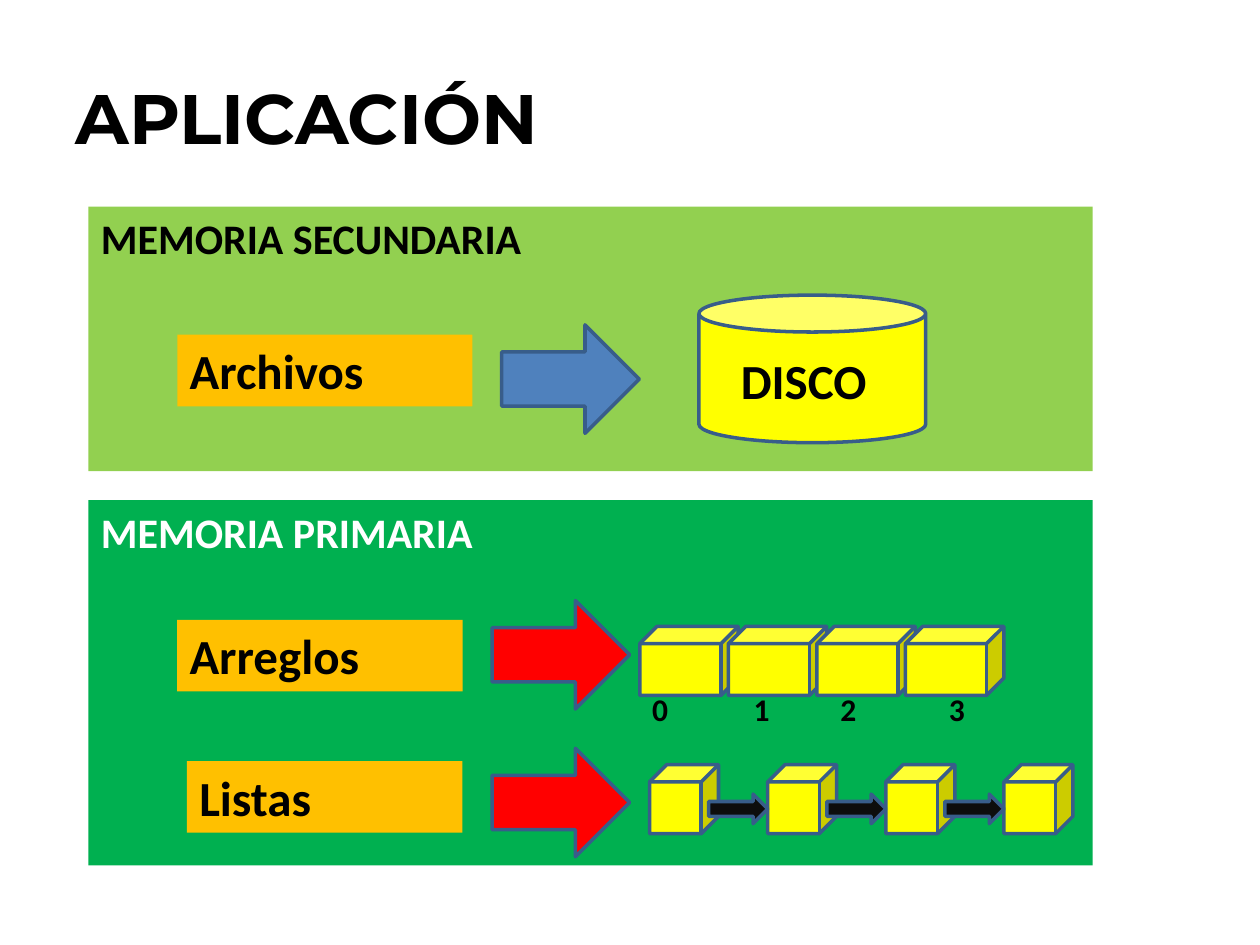
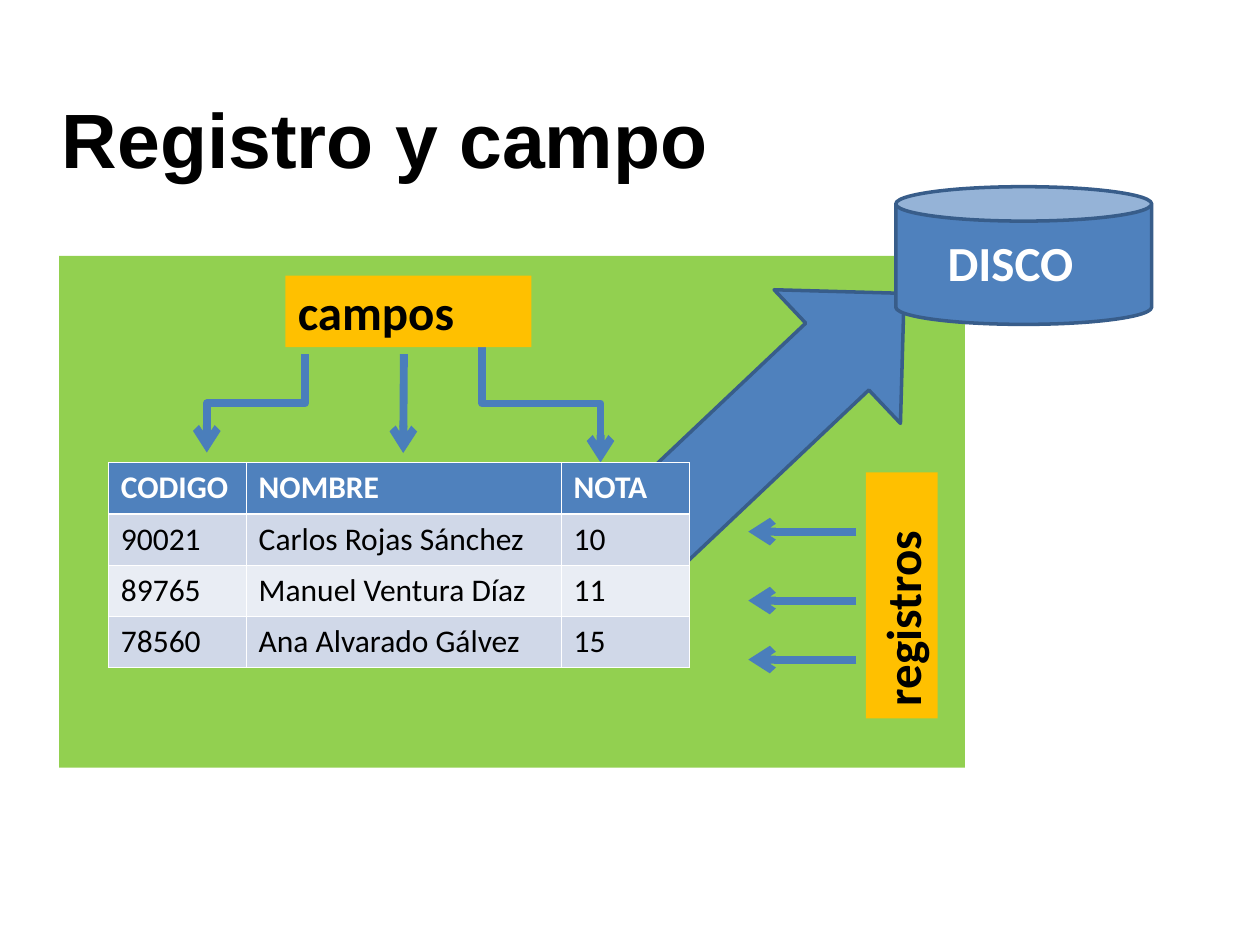
from lxml.etree import SubElement
from pptx import Presentation
from pptx.dml.color import RGBColor
from pptx.enum.shapes import MSO_CONNECTOR as Connector, MSO_SHAPE as Preset
from pptx.enum.text import MSO_ANCHOR as Anchor, MSO_AUTO_SIZE as AutoSize, PP_ALIGN as Align
from pptx.oxml.ns import qn
from pptx.util import Pt

BLACK = RGBColor(0x00, 0x00, 0x00)
WHITE = RGBColor(0xFF, 0xFF, 0xFF)
INK = RGBColor(0x0D, 0x0D, 0x0D)
LIME = RGBColor(0x92, 0xD0, 0x50)
GREEN = RGBColor(0x00, 0xB0, 0x50)
AMBER = RGBColor(0xFF, 0xC0, 0x00)
YELLOW = RGBColor(0xFF, 0xFF, 0x00)
RED = RGBColor(0xFF, 0x00, 0x00)
BLUE = RGBColor(0x4F, 0x81, 0xBD)
OUTLINE = RGBColor(0x38, 0x5D, 0x8A)
CONNECTOR_BLUE = RGBColor(0x4A, 0x7E, 0xBB)
DARK_ROW = RGBColor(0xD0, 0xD8, 0xE8)
LIGHT_ROW = RGBColor(0xE9, 0xED, 0xF4)

TITLE_ONLY = 5
LABEL_SIZE = 28
LABEL_HEIGHT = 41


class Deck:
    font = "Calibri"

    def __init__(self):
        self.presentation = Presentation()
        self.presentation.slide_width = Pt(720)
        self.presentation.slide_height = Pt(540)
        self.slide = None

    def new_slide(self, title, box, font, size):
        layout = self.presentation.slide_layouts[TITLE_ONLY]
        self.slide = self.presentation.slides.add_slide(layout)
        shape = self.slide.shapes.title
        shape.left, shape.top, shape.width, shape.height = map(Pt, box)
        self.set_text(shape.text_frame, title, size, BLACK, font=font, anchor=Anchor.MIDDLE)

    def set_text(self, text_frame, text, size, color, bold=True, font=None, anchor=Anchor.TOP, tabs=()):
        text_frame.word_wrap = True
        text_frame.auto_size = AutoSize.NONE
        text_frame.vertical_anchor = anchor
        text_frame.text = text
        self.format_text(text_frame.paragraphs[0], size, color, bold, font, tabs)

    def format_text(self, paragraph, size, color, bold=True, font=None, tabs=()):
        paragraph.alignment = Align.LEFT
        if tabs:
            tab_list = SubElement(paragraph._p.get_or_add_pPr(), qn("a:tabLst"))
            for position in tabs:
                SubElement(tab_list, qn("a:tab"), pos=str(Pt(position)), algn="l")
        for run in paragraph.runs:
            run.font.name = font or self.font
            run.font.size = Pt(size)
            run.font.bold = bold
            run.font.color.rgb = color

    def shape(self, preset, box, fill, outlined=True, rotation=0):
        shape = self.slide.shapes.add_shape(preset, *map(Pt, box))
        shape.shadow.inherit = False
        shape.rotation = rotation
        shape.fill.solid()
        shape.fill.fore_color.rgb = fill
        if outlined:
            shape.line.color.rgb = OUTLINE
            shape.line.width = Pt(2)
        else:
            shape.line.fill.background()
        return shape

    def panel(self, box, fill, text="", color=BLACK, size=24, rotation=0):
        panel = self.shape(Preset.RECTANGLE, box, fill, outlined=False, rotation=rotation)
        if text:
            self.set_text(panel.text_frame, text, size, color)

    def label(self, left, top, width, text, rotation=0):
        self.panel((left, top, width, LABEL_HEIGHT), AMBER, text, size=LABEL_SIZE, rotation=rotation)

    def text(self, box, text, size, color, tabs=()):
        text_box = self.slide.shapes.add_textbox(*map(Pt, box))
        self.set_text(text_box.text_frame, text, size, color, tabs=tabs)

    def arrow(self, start, end, kind=Connector.STRAIGHT):
        connector = self.slide.shapes.add_connector(kind, *map(Pt, (*start, *end)))
        connector.line.color.rgb = CONNECTOR_BLUE
        connector.line.width = Pt(4.5)
        SubElement(connector.line._get_or_add_ln(), qn("a:tailEnd"), type="arrow")
        SubElement(connector.element.spPr, qn("a:effectLst"))
        return connector

    def elbow_down(self, start, reach):
        left, top = start
        connector = self.arrow((left + reach, top), (left, top + abs(reach)), Connector.ELBOW)
        degrees = 90 if reach < 0 else 270
        connector.element.spPr.xfrm.set("rot", str(degrees * 60000))

    def border(self, cell, side, width):
        line = SubElement(cell._tc.get_or_add_tcPr(), qn(f"a:ln{side}"), w=str(Pt(width)))
        fill = SubElement(line, qn("a:solidFill"))
        SubElement(fill, qn("a:srgbClr"), val=str(WHITE))

    def table(self, left, top, widths, row_height, rows):
        box = (left, top, sum(widths), row_height * len(rows))
        table = self.slide.shapes.add_table(len(rows), len(widths), *map(Pt, box)).table
        for column, width in zip(table.columns, widths):
            column.width = Pt(width)
        for row_index, values in enumerate(rows):
            table.rows[row_index].height = Pt(row_height)
            header = row_index == 0
            fill = BLUE if header else (LIGHT_ROW, DARK_ROW)[row_index % 2]
            for column_index, value in enumerate(values):
                cell = table.cell(row_index, column_index)
                for side in "LRTB":
                    thick = (row_index, side) in ((0, "B"), (1, "T"))
                    self.border(cell, side, 1.47 if thick else 0.45)
                cell.fill.solid()
                cell.fill.fore_color.rgb = fill
                cell.text_frame.text = value
                self.format_text(cell.text_frame.paragraphs[0], 18, WHITE if header else BLACK, header)


def build_application(deck):
    deck.new_slide("APLICACIÓN", (36, 21.6, 648, 90), "Montserrat", 40)
    deck.panel((50.6, 285.8, 573.8, 208.8), GREEN, "MEMORIA PRIMARIA", WHITE)
    deck.panel((50.6, 118.1, 573.8, 151.2), LIME, "MEMORIA SECUNDARIA")

    deck.label(101.3, 191.3, 168.7, "Archivos")
    deck.shape(Preset.CAN, (399.4, 168.7, 129.6, 84.3), YELLOW)
    deck.text((416.2, 196.6, 101.5, LABEL_HEIGHT), "DISCO", LABEL_SIZE, BLACK)
    deck.shape(Preset.RIGHT_ARROW, (286.7, 185.6, 78.6, 62), BLUE)

    deck.text((365.6, 391, 202.3, 28.8), "0\t1\t2\t3", 18, BLACK, tabs=(58, 107.5, 169.5))
    deck.label(106.8, 434.9, 157.5, "Listas")
    deck.label(101.3, 354.2, 163.1, "Arreglos")
    for index in range(4):
        deck.shape(Preset.CUBE, (365.6 + 50.6 * index, 358, 56.2, 39.4), YELLOW)
    list_step = 67.5
    for index in range(4):
        deck.shape(Preset.CUBE, (371.2 + list_step * index, 437, 39.4, 39.4), YELLOW)
    for index in range(3):
        deck.shape(Preset.RIGHT_ARROW, (405 + list_step * index, 453.8, 33.8, 16.9), INK)
    for top in (343.2, 427.6):
        deck.shape(Preset.RIGHT_ARROW, (281.2, top, 78.6, 62), RED)


def build_record_and_field(deck):
    deck.new_slide("Registro y campo", (28.1, 33.8, 438.5, 90), "Arial", 44)
    deck.panel((33.8, 146.2, 517.6, 292.5), LIME)
    deck.shape(Preset.UP_ARROW, (392.4, 136.8, 105.1, 197.3), BLUE, rotation=46.6)

    deck.elbow_down((174.4, 202.4), -56.2)
    deck.elbow_down((275.6, 196.8), 67.5)
    deck.arrow((230.8, 202.4), (230.4, 258.9))
    deck.label(163.1, 157.5, 140.6, "campos")

    for top in (303.8, 343.2, 376.9):
        deck.arrow((489.4, top), (427.6, top))
    deck.label(445, 319.7, 140.6, "registros", rotation=270)

    deck.table(61.9, 264.4, (78.75, 180, 73.25), 29.2, (
        ("CODIGO", "NOMBRE", "NOTA"),
        ("90021", "Carlos Rojas Sánchez", "10"),
        ("89765", "Manuel Ventura Díaz", "11"),
        ("78560", "Ana Alvarado Gálvez", "15"),
    ))
    deck.shape(Preset.CAN, (511.9, 106.7, 146.2, 78.7), BLUE)
    deck.text((534.4, 129.4, 112.5, LABEL_HEIGHT), "DISCO", LABEL_SIZE, WHITE)


def main():
    deck = Deck()
    build_application(deck)
    build_record_and_field(deck)
    deck.presentation.save("out.pptx")


if __name__ == "__main__":
    main()
